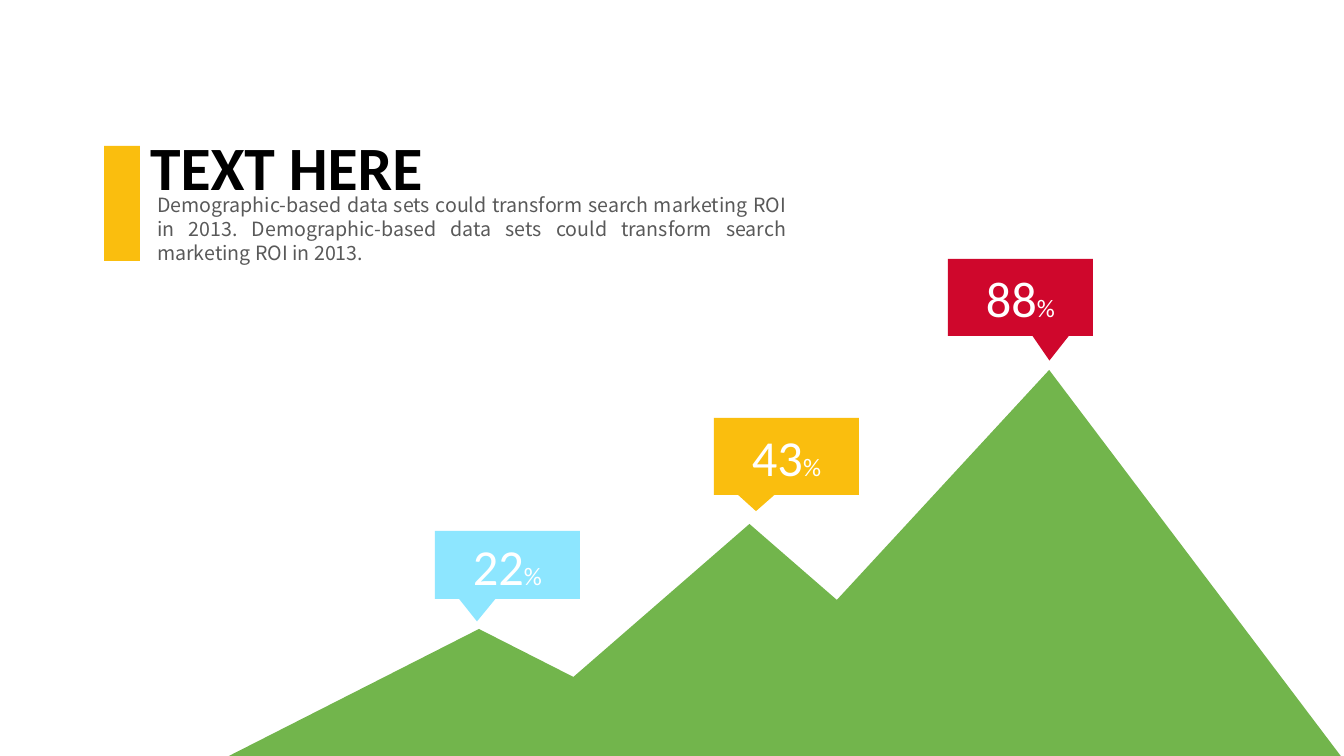
"""Build a slide with a green mountain range and a percentage callout on each peak."""
from pptx import Presentation
from pptx.dml.color import RGBColor
from pptx.enum.shapes import MSO_SHAPE as Shape
from pptx.enum.text import MSO_ANCHOR as Anchor, MSO_AUTO_SIZE as AutoSize, PP_ALIGN as Align
from pptx.oxml.ns import qn
from pptx.util import Pt

PX = 914400 / 100.8
GREEN, YELLOW, RED, BLUE = "72B54C", "FABE0E", "CF072C", "8DE6FF"


def color(hex_string):
    return RGBColor.from_string(hex_string)


def add_block(kind, box, fill, adjustments=()):
    shape = slide.shapes.add_shape(kind, *[round(value * PX) for value in box])
    shape.shadow.inherit = False
    shape.fill.solid()
    shape.fill.fore_color.rgb = color(fill)
    shape.line.fill.background()
    for index, value in enumerate(adjustments):
        shape.adjustments[index] = value
    return shape


presentation = Presentation()
presentation.slide_width = round(1344 * PX)
presentation.slide_height = round(756 * PX)
slide = presentation.slides.add_slide(presentation.slide_layouts[1])

title, body = slide.shapes.title, slide.placeholders[1]
texts = [
    (title, (140, 123, 295, 85), "TEXT HERE", Align.LEFT, Anchor.MIDDLE,
     "Calibri", 44, "000000", True),
    (body, (147, 188, 650, 105),
     "Demographic-based data sets could transform search marketing ROI in 2013. "
     "Demographic-based data sets could transform search marketing ROI in 2013.",
     Align.JUSTIFY, Anchor.TOP, "Noto Sans CJK SC", 14, "595959", False),
]
for placeholder, box, text, alignment, anchor, font_name, size, ink, bold in texts:
    placeholder.left, placeholder.top, placeholder.width, placeholder.height = [
        round(value * PX) for value in box]
    text_frame = placeholder.text_frame
    text_frame.text = text
    text_frame.auto_size = AutoSize.NONE
    text_frame.word_wrap = placeholder is body
    text_frame.vertical_anchor = anchor
    paragraph = text_frame.paragraphs[0]
    paragraph.alignment = alignment
    paragraph.space_before = Pt(0)
    font = paragraph.runs[0].font
    font.name, font.size, font.bold = font_name, Pt(size), bold
    font.color.rgb = color(ink)

paragraph = body.text_frame.paragraphs[0]
paragraph.line_spacing = Pt(17)
properties = paragraph._p.get_or_add_pPr()
properties.set("marL", "0")
properties.set("indent", "0")
properties.append(properties.makeelement(qn("a:buNone"), {}))

mountains = [
    ((690, 370, 653, 389), 0.55),
    ((479, 524, 541, 235), 0.5),
    ((223, 629, 512, 130), 0.5),
]
for box, peak in mountains:
    add_block(Shape.ISOSCELES_TRIANGLE, box, GREEN, [peak])

add_block(Shape.RECTANGLE, (104, 146, 36, 115), YELLOW)

callouts = [
    ("88", (948, 259, 145, 77), RED, (0.2, 0.82)),
    ("43", (714, 418, 145, 77), YELLOW, (-0.21, 0.71)),
    ("22", (435, 531, 145, 68), BLUE, (-0.21, 0.83)),
]
for number, box, fill, tip in callouts:
    callout = add_block(Shape.RECTANGULAR_CALLOUT, box, fill, tip)
    callout.text_frame.vertical_anchor = Anchor.MIDDLE
    paragraph = callout.text_frame.paragraphs[0]
    paragraph.alignment = Align.CENTER
    for text, size in [(number, 36), ("%", 18)]:
        run = paragraph.add_run()
        run.text = text
        run.font.name, run.font.size = "Calibri", Pt(size)
        run.font.color.rgb = color("FFFFFF")

presentation.save("out.pptx")
